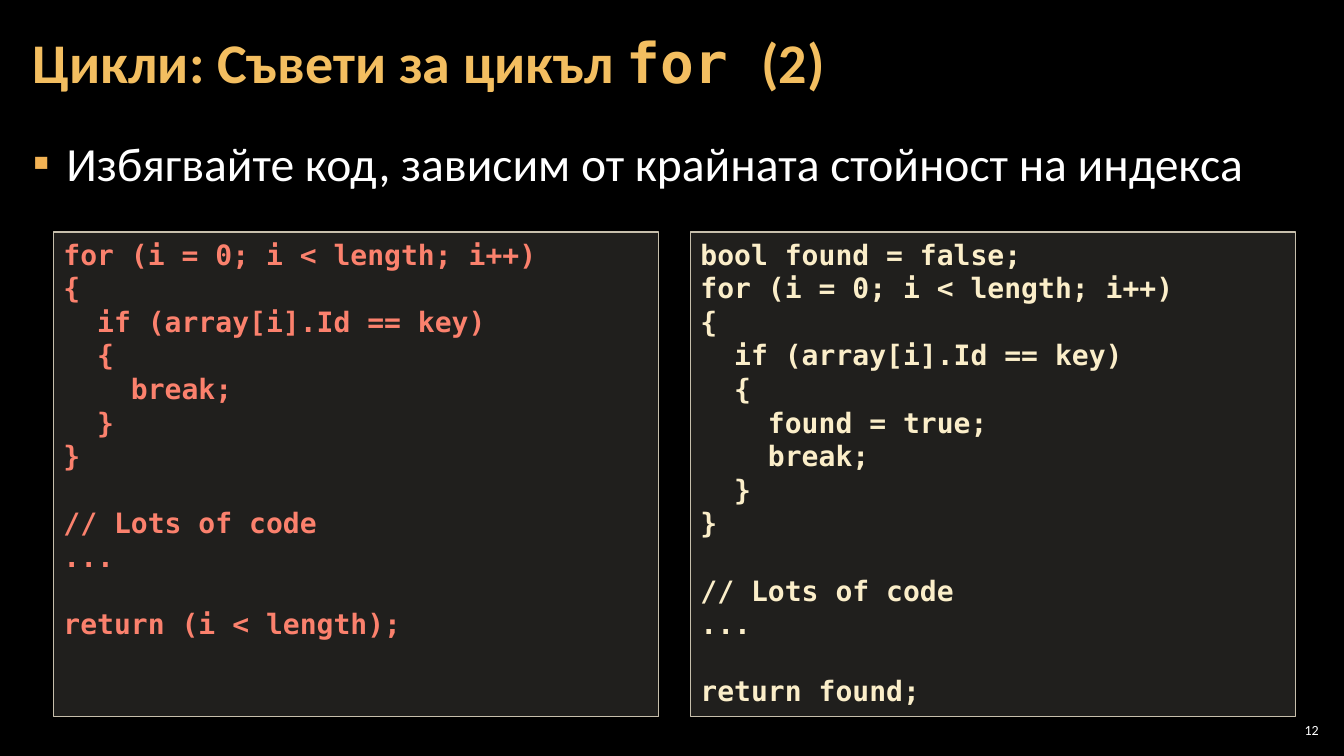
"""Build a slide with advice on for loops: two code panels side by side."""
from dataclasses import dataclass

from lxml.etree import SubElement
from pptx import Presentation
from pptx.dml.color import RGBColor as RGB
from pptx.enum.shapes import MSO_SHAPE as SHAPE
from pptx.enum.text import MSO_ANCHOR as ANCHOR, PP_ALIGN as ALIGN
from pptx.oxml.ns import qn
from pptx.util import Pt

COLORS = {
    "background": "000000",
    "title": "F3BE60",
    "bullet": "F2B254",
    "text": "FFFFFF",
    "panel": "D9D5C7",
    "border": "C7BFAC",
    "bad": "FB816D",
    "good": "FBEEC9",
}
SANS, MONO = "Calibri", "DejaVu Sans Mono"
CODE_LINE = 24

BAD_CODE = """for (i = 0; i < length; i++)
{
  if (array[i].Id == key)
  {
    break;
  }
}

// Lots of code
...

return (i < length);"""

GOOD_CODE = """bool found = false;
for (i = 0; i < length; i++)
{
  if (array[i].Id == key)
  {
    found = true;
    break;
  }
}

// Lots of code
...

return found;"""


@dataclass
class Run:
    """A piece of text in one font."""
    text: str
    font: str = SANS


@dataclass
class Label:
    """A one-paragraph text box."""
    box: tuple[float, float, float, float]
    runs: list[Run]
    size: float
    color: str
    inset: float
    frame: dict
    para: dict
    bold: bool = False
    bullet: str = ""


@dataclass
class Panel:
    """A framed block of code."""
    left: float
    code: str
    color: str


LABELS = [
    Label((911, 514, 34, 15), [Run("12")], 10, "text", 3,
          {"vertical_anchor": ANCHOR.MIDDLE}, {"alignment": ALIGN.RIGHT}),
    Label((15, 90.5, 930, 60),
          [Run("Избягвайте код, зависим от крайната стойност на индекса")],
          34, "text", 8.5, {"vertical_anchor": ANCHOR.TOP},
          {"line_spacing": 1.05, "space_after": Pt(6)}, bullet="▪"),
    Label((15, 3, 754, 87),
          [Run("Цикли: Съвети за цикъл "), Run("for ", MONO), Run("(2)")],
          40, "title", 8.5, {"vertical_anchor": ANCHOR.MIDDLE},
          {"line_spacing": 0.9}, bold=True),
]
PANELS = [Panel(38.25, BAD_CODE, "bad"), Panel(493.25, GOOD_CODE, "good")]


def rgb(name: str) -> RGB:
    """Look up a colour by its role."""
    return RGB.from_string(COLORS[name])


def apply(target, values: dict) -> None:
    """Set every attribute named in values."""
    for name, value in values.items():
        setattr(target, name, value)


def add_run(p, run: Run, size: float, color: str, bold: bool) -> None:
    """Append a formatted run to a paragraph."""
    r = p.add_run()
    r.text = run.text
    apply(r.font, {"name": run.font, "size": Pt(size), "bold": bold})
    r.font.color.rgb = rgb(color)


def add_bullet(p, char: str) -> None:
    """Give a paragraph a coloured bullet and a hanging indent."""
    pPr = p._p.get_or_add_pPr()
    pPr.set("marL", str(Pt(24)))
    pPr.set("indent", str(-Pt(24)))
    clr = SubElement(pPr, qn("a:buClr"))
    SubElement(clr, qn("a:srgbClr"), val=COLORS["bullet"])
    SubElement(pPr, qn("a:buFont"), typeface=SANS)
    SubElement(pPr, qn("a:buChar"), char=char)


def add_label(s, label: Label) -> None:
    """Draw a text box."""
    tf = s.shapes.add_textbox(*map(Pt, label.box)).text_frame
    side = Pt(label.inset)
    apply(tf, {"word_wrap": True, "margin_left": side, "margin_right": side,
               "margin_top": Pt(3), "margin_bottom": Pt(3), **label.frame})
    p = tf.paragraphs[0]
    if label.bullet:
        add_bullet(p, label.bullet)
    apply(p, label.para)
    for run in label.runs:
        add_run(p, run, label.size, label.color, label.bold)


def add_panel(s, panel: Panel) -> None:
    """Draw a translucent rectangle with code, turning empty lines into spacing."""
    sp = s.shapes.add_shape(SHAPE.RECTANGLE, Pt(panel.left), Pt(165.75), Pt(432), Pt(346.25))
    sp.shadow.inherit = False
    sp.fill.solid()
    sp.fill.fore_color.rgb = rgb("panel")
    srgb = next(sp._element.spPr.iter(qn("a:srgbClr")))
    SubElement(srgb, qn("a:alpha"), val="15000")
    sp.line.color.rgb = rgb("border")
    sp.line.width = Pt(1)
    tf = sp.text_frame
    apply(tf, {"word_wrap": True, "vertical_anchor": ANCHOR.TOP})
    gap = 0
    for i, line in enumerate(panel.code.splitlines()):
        if not line:
            gap += CODE_LINE
            continue
        p = tf.add_paragraph() if i else tf.paragraphs[0]
        apply(p, {"alignment": ALIGN.LEFT, "space_before": Pt(gap)})
        add_run(p, Run(line, MONO), 20, panel.color, True)
        gap = 0


def main() -> None:
    """Build and save the slide."""
    prs = Presentation()
    apply(prs, {"slide_width": Pt(960), "slide_height": Pt(540)})
    s = prs.slides.add_slide(prs.slide_layouts[6])
    s.background.fill.solid()
    s.background.fill.fore_color.rgb = rgb("background")
    for label in LABELS:
        add_label(s, label)
    for panel in PANELS:
        add_panel(s, panel)
    prs.save("out.pptx")


if __name__ == "__main__":
    main()
